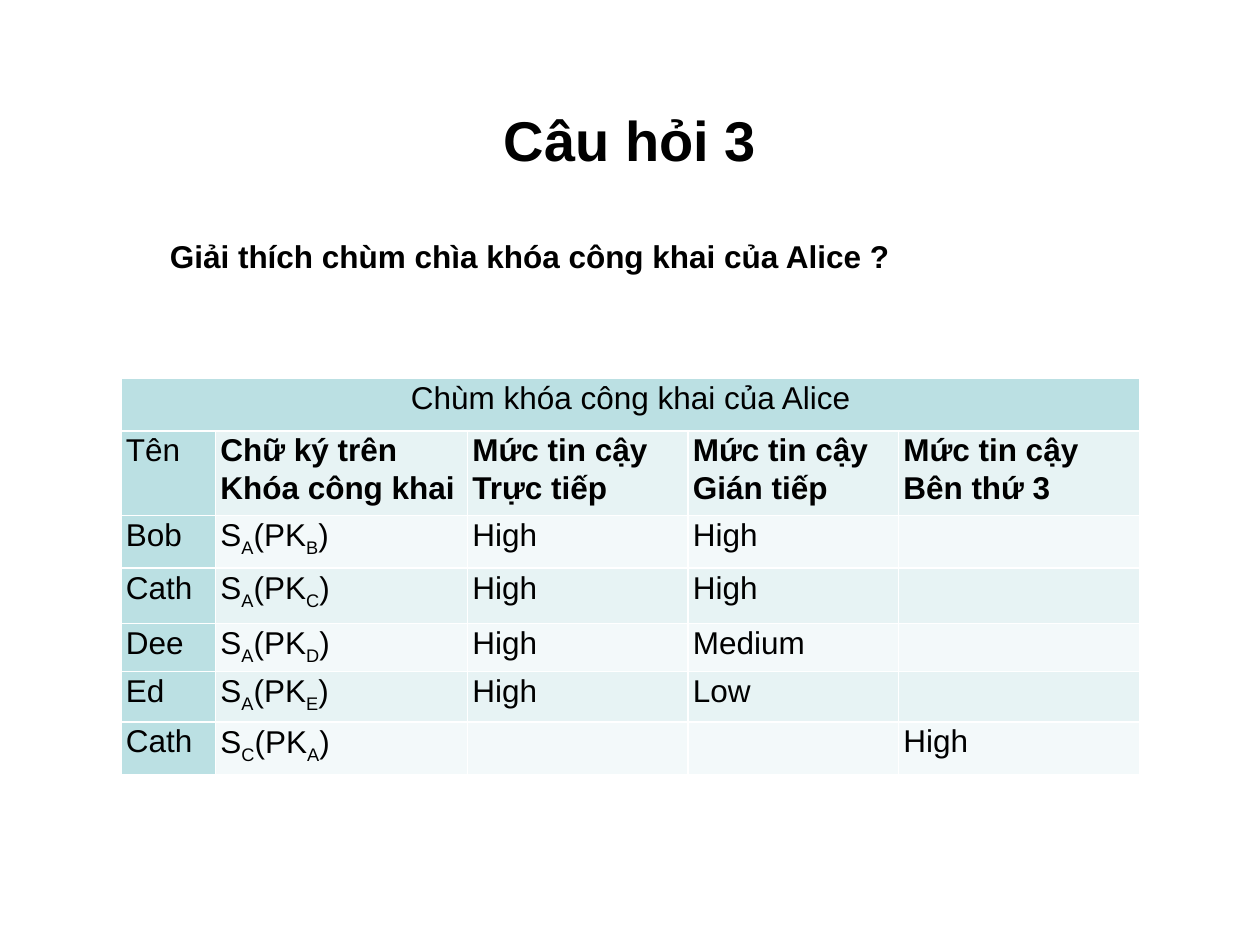
from lxml.etree import SubElement
from pptx import Presentation
from pptx.dml.color import RGBColor
from pptx.enum.text import MSO_ANCHOR as Anchor, PP_ALIGN as Align
from pptx.oxml.ns import qn
from pptx.util import Inches, Pt

BLACK, WHITE = "000000", "FFFFFF"
HEADER, BAND_DARK, BAND_LIGHT = "BBE0E3", "E7F3F4", "F3F9FA"

TABLE_TITLE = "Chùm khóa công khai của Alice"
COLUMN_WIDTHS = [0.75, 2, 1.75, 1.67, 1.92]
ROW_HEIGHTS = [0.42, 0.67, 0.42, 0.44, 0.38, 0.4, 0.42]
HEADINGS = ["Tên", "Chữ ký trên Khóa công khai", "Mức tin cậy Trực tiếp",
            "Mức tin cậy Gián tiếp", "Mức tin cậy\nBên thứ 3"]
# Name, signer, key owner, then direct, indirect and third-party trust
KEYS = [
    ("Bob", "A", "B", "High", "High", ""),
    ("Cath", "A", "C", "High", "High", ""),
    ("Dee", "A", "D", "High", "Medium", ""),
    ("Ed", "A", "E", "High", "Low", ""),
    ("Cath", "C", "A", "", "", "High"),
]


def color(value):
    return RGBColor.from_string(value)


def write_text(frame, text, size=18, bold=False, align=Align.LEFT, spacing=None):
    """Write one paragraph per line; a character after _ is a subscript."""
    frame.word_wrap = True
    for index, line in enumerate(text.split("\n")):
        paragraph = frame.add_paragraph() if index else frame.paragraphs[0]
        paragraph.alignment = align
        paragraph.line_spacing = spacing
        paragraph.font.size = Pt(size)
        first, *rest = line.split("_")
        pieces = [(first, False)]
        for part in rest:
            pieces += [(part[0], True), (part[1:], False)]
        for piece, subscript in pieces:
            if not piece:
                continue
            run = paragraph.add_run()
            run.text = piece
            run.font.name = "Arial"
            run.font.size = Pt(size)
            run.font.bold = bold
            run.font.color.rgb = color(BLACK)
            if subscript:
                run.font._element.set("baseline", "-25000")


def add_text(slide, left, top, width, height, text, anchor=Anchor.TOP, **text_format):
    box = slide.shapes.add_textbox(Inches(left), Inches(top), Inches(width), Inches(height))
    box.text_frame.vertical_anchor = anchor
    write_text(box.text_frame, text, **text_format)


def set_borders(cell, value, points=1):
    properties = cell._tc.get_or_add_tcPr()
    for side in ("lnL", "lnR", "lnT", "lnB"):
        line = SubElement(properties, qn(f"a:{side}"), w=str(Pt(points)))
        fill = SubElement(line, qn("a:solidFill"))
        SubElement(fill, qn("a:srgbClr"), val=value)


def format_cell(cell, text, fill, **text_format):
    cell.margin_left = cell.margin_right = Inches(0.04)
    cell.margin_top = cell.margin_bottom = 0
    set_borders(cell, WHITE)
    cell.fill.solid()
    cell.fill.fore_color.rgb = color(fill)
    write_text(cell.text_frame, text, spacing=1.07, **text_format)


def add_key_table(slide, left, top):
    rows = [[TABLE_TITLE, "", "", "", ""], HEADINGS]
    rows += [[name, f"S_{signer}(PK_{owner})", *trust]
             for name, signer, owner, *trust in KEYS]
    table = slide.shapes.add_table(
        len(rows), len(COLUMN_WIDTHS), Inches(left), Inches(top),
        Inches(sum(COLUMN_WIDTHS)), Inches(sum(ROW_HEIGHTS))).table
    for column, width in zip(table.columns, COLUMN_WIDTHS):
        column.width = Inches(width)
    for row, height in zip(table.rows, ROW_HEIGHTS):
        row.height = Inches(height)

    # Title row and name column are darker; the other rows alternate
    for r, texts in enumerate(rows):
        band = BAND_DARK if r % 2 else BAND_LIGHT
        for c, text in enumerate(texts):
            format_cell(table.cell(r, c), text,
                        HEADER if r == 0 or c == 0 else band,
                        bold=r == 1 and c > 0,
                        align=Align.LEFT if r else Align.CENTER)
    table.cell(0, 0).merge(table.cell(0, len(COLUMN_WIDTHS) - 1))


def main():
    presentation = Presentation()
    presentation.slide_width, presentation.slide_height = Inches(10), Inches(7.5)
    slide = presentation.slides.add_slide(presentation.slide_layouts[6])

    # Title, key table and question
    add_text(slide, 0.5, 0.75, 9, 0.71, "Câu hỏi 3", anchor=Anchor.MIDDLE,
             size=32, bold=True, align=Align.CENTER)
    add_key_table(slide, 0.96, 3)
    add_text(slide, 1.25, 1.83, 7.17, 0.4,
             "Giải thích chùm chìa khóa công khai của Alice ?", bold=True)
    presentation.save("out.pptx")


if __name__ == "__main__":
    main()
